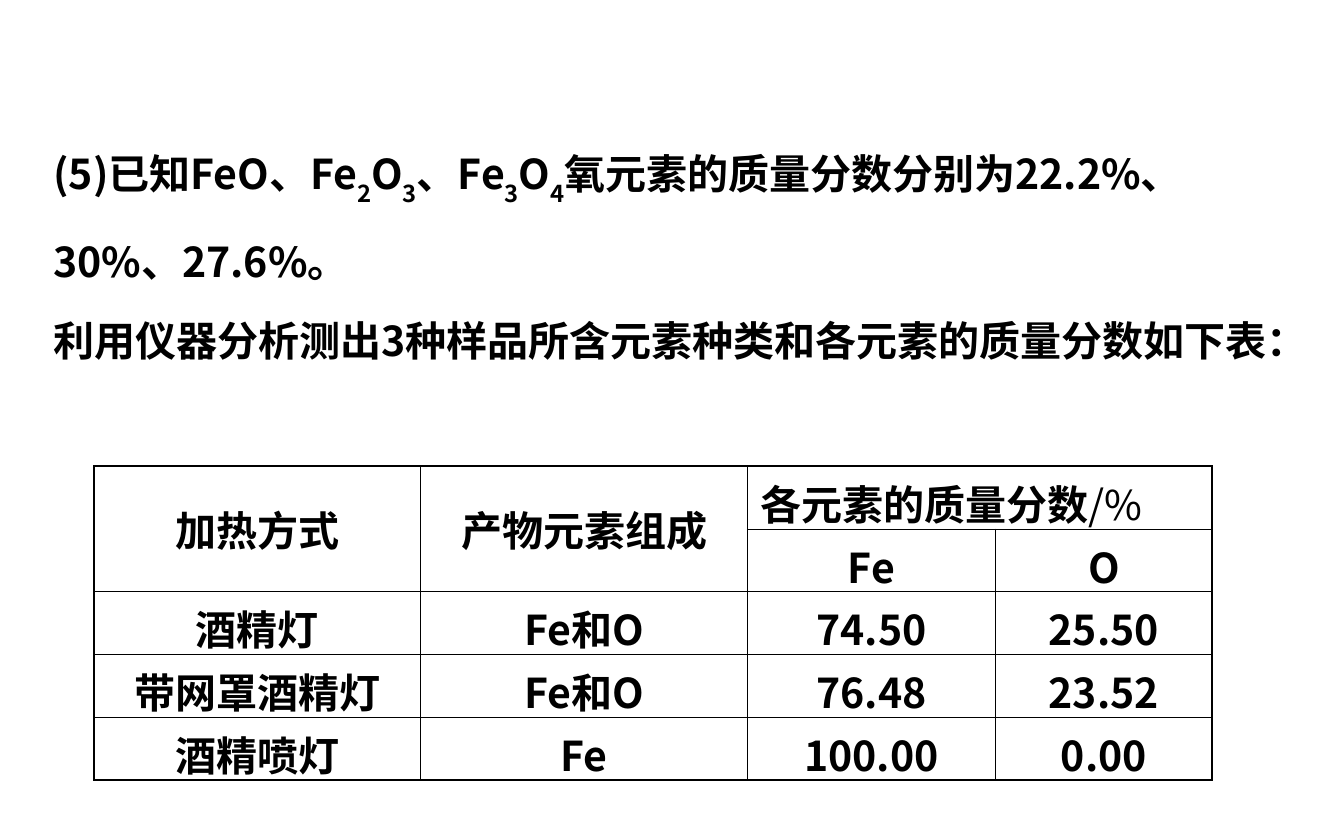
import lxml.etree
import pptx
import pptx.dml.color
import pptx.enum.text
import pptx.oxml.ns
import pptx.util

Pt = pptx.util.Pt
qn = pptx.oxml.ns.qn
PP_ALIGN = pptx.enum.text.PP_ALIGN

BLACK = pptx.dml.color.RGBColor(0x00, 0x00, 0x00)
FONT = "Noto Sans CJK SC"
SIZE = 22
OUTER, INNER = 0.96, 0.45

OXIDES = [
    ("(5)已知FeO、Fe", "normal"), ("2", "sub"), ("O", "normal"), ("3", "sub"),
    ("、Fe", "normal"), ("3", "sub"), ("O", "normal"), ("4", "sub"),
    ("氧元素的质量分数分别为22.2%、30%、27.6%。", "normal"),
]
MEASUREMENT = [("利用仪器分析测出3种样品所含元素种类和各元素的质量分数如下表：", "normal")]

COLUMNS = [175, 175, 133, 116]
ROW_HEIGHT = 33.6
ROWS = [
    ["加热方式", "产物元素组成", "各元素的质量分数", None],
    [None, None, "Fe", "O"],
    ["酒精灯", "Fe和O", "74.50", "25.50"],
    ["带网罩酒精灯", "Fe和O", "76.48", "23.52"],
    ["酒精喷灯", "Fe", "100.00", "0.00"],
]
MERGES = [((0, 0), (1, 0)), ((0, 1), (1, 1)), ((0, 2), (0, 3))]


class SlideWriter:
    def __init__(self, page):
        self.page = page

    def span(self, para, text, style="normal"):
        span = para.add_run()
        span.text = text
        font = span.font
        font.size = Pt(SIZE)
        font.bold = style != "light"
        font.color.rgb = BLACK
        font.name = FONT
        properties = span._r.get_or_add_rPr()
        lxml.etree.SubElement(properties, qn("a:ea")).set("typeface", FONT)
        if style == "sub":
            properties.set("baseline", "-30000")

    def text(self, left, top, width, height, paragraphs):
        box = self.page.shapes.add_textbox(Pt(left), Pt(top), Pt(width), Pt(height))
        frame = box.text_frame
        frame.word_wrap = True
        frame.auto_size = pptx.enum.text.MSO_AUTO_SIZE.SHAPE_TO_FIT_TEXT
        for index, spans in enumerate(paragraphs):
            para = frame.add_paragraph() if index else frame.paragraphs[0]
            para.line_spacing = 1.6
            for text, style in spans:
                self.span(para, text, style)

    def border(self, cell, side, width):
        line = lxml.etree.SubElement(cell._tc.get_or_add_tcPr(), qn("a:ln" + side))
        line.set("w", str(int(Pt(width))))
        fill = lxml.etree.SubElement(line, qn("a:solidFill"))
        lxml.etree.SubElement(fill, qn("a:srgbClr")).set("val", str(BLACK))

    def table(self, left, top, columns, row_height, rows, merges):
        """Draw a grid with a heavier outer frame; None marks a merged-away cell."""
        frame = self.page.shapes.add_table(
            len(rows), len(columns), Pt(left), Pt(top),
            Pt(sum(columns)), Pt(row_height * len(rows)))
        table = frame.table
        table.first_row = table.horz_banding = False
        for column, width in zip(table.columns, columns):
            column.width = Pt(width)
        for row in table.rows:
            row.height = Pt(row_height)
        for first, last in merges:
            table.cell(*first).merge(table.cell(*last))
        for r, texts in enumerate(rows):
            for c, text in enumerate(texts):
                cell = table.cell(r, c)
                right, bottom = c + cell.span_width, r + cell.span_height
                edges = {"L": c == 0, "R": right == len(columns),
                         "T": r == 0, "B": bottom == len(rows)}
                for side, is_outer in edges.items():
                    self.border(cell, side, OUTER if is_outer else INNER)
                cell.fill.background()
                if text is None:
                    continue
                cell.vertical_anchor = pptx.enum.text.MSO_ANCHOR.MIDDLE
                para = cell.text_frame.paragraphs[0]
                is_wide = cell.span_width > 1
                para.alignment = PP_ALIGN.LEFT if is_wide else PP_ALIGN.CENTER
                self.span(para, text)
                if is_wide:
                    self.span(para, "/%", "light")


def main():
    deck = pptx.Presentation()
    deck.slide_width, deck.slide_height = Pt(720), Pt(450)
    writer = SlideWriter(deck.slides.add_slide(deck.slide_layouts[6]))
    writer.text(21.6, 57.6, 679, 141.8, [OXIDES, MEASUREMENT])
    writer.table(50.4, 249.8, COLUMNS, ROW_HEIGHT, ROWS, MERGES)
    deck.save("out.pptx")


if __name__ == "__main__":
    main()
